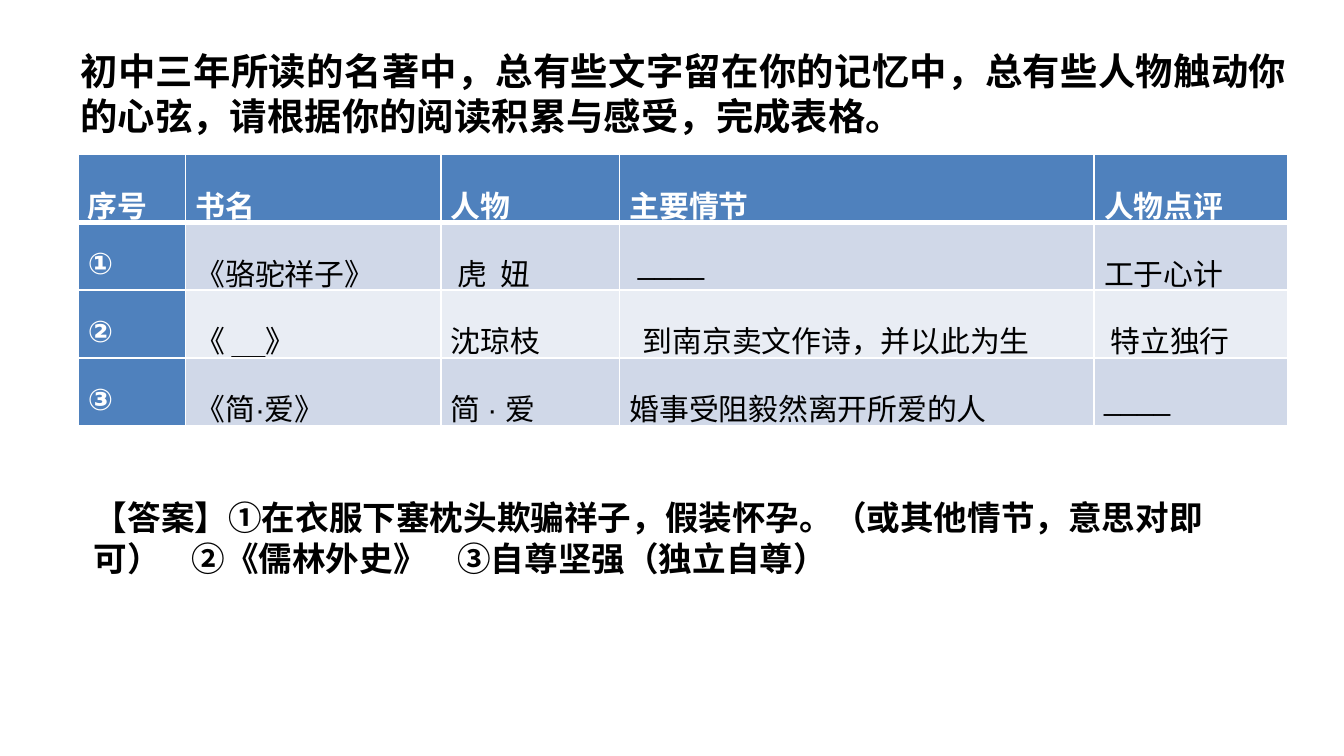
from lxml import etree
from pptx import Presentation
from pptx import util as u
from pptx.dml.color import RGBColor
from pptx.enum import text
from pptx.oxml import ns

HUES = {"ink": "000000", "white": "FFFFFF", "head": "4F81BD",
        "odd": "D0D8E8", "even": "E9EDF4"}
TITLE = "初中三年所读的名著中，总有些文字留在你的记忆中，总有些人物触动你的心弦，请根据你的阅读积累与感受，完成表格。"
KEY = "【答案】①在衣服下塞枕头欺骗祥子，假装怀孕。（或其他情节，意思对即可）    ②《儒林外史》    ③自尊坚强（独立自尊）"
COLS = [0.8, 1.9, 1.33, 3.53, 1.44]
ROWS = [
    ["序号", "书名", "人物", "主要情节", "人物点评"],
    ["①", "《骆驼祥子》", " 虎  妞", " ____", "工于心计"],
    ["②", "《 __》", "沈琼枝", "  到南京卖文作诗，并以此为生", " 特立独行"],
    ["③", "《简·爱》", "简 · 爱", "婚事受阻毅然离开所爱的人", "____"],
]


class Deck:
    """Holds the style and the current slide, and draws each kind of element."""

    def __init__(self, wide):
        self.prs = Presentation()
        self.prs.slide_width = u.Inches(wide)
        self.prs.slide_height = u.Inches(wide * 9 / 16)
        self.slide = self.prs.slides.add_slide(self.prs.slide_layouts[6])

    def hue(self, name):
        return RGBColor.from_string(HUES[name])

    def run(self, para, words, size, hue="ink", bold=True, face="Arial"):
        run = para.add_run()
        run.text = words
        font = run.font
        font.name, font.size, font.bold = face, u.Pt(size), bold
        font.color.rgb = self.hue(hue)

    def box(self, at, words, size, face="Arial"):
        frame = self.slide.shapes.add_textbox(*map(u.Inches, at)).text_frame
        frame.word_wrap = True
        para = frame.paragraphs[0]
        self.run(para, words, size, face=face)
        return frame, para

    def edge(self, cell, side, width):
        line = etree.SubElement(cell._tc.get_or_add_tcPr(), ns.qn(f"a:ln{side}"),
                                w=str(u.Pt(width)))
        fill = etree.SubElement(line, ns.qn("a:solidFill"))
        etree.SubElement(fill, ns.qn("a:srgbClr"), val=HUES["white"])

    def cell(self, cell, words, row, col):
        head = row == 0 or col == 0
        for side in "LRTB":
            thick = (row, side) in ((0, "B"), (1, "T"))
            self.edge(cell, side, 3 if thick else 1)
        cell.fill.solid()
        cell.fill.fore_color.rgb = self.hue(
            "head" if head else "odd" if row % 2 else "even")
        cell.margin_left = cell.margin_right = u.Pt(5.4)
        cell.margin_top = cell.margin_bottom = u.Inches(0.05)
        cell.vertical_anchor = text.MSO_ANCHOR.MIDDLE
        para = cell.text_frame.paragraphs[0]
        para.line_spacing = 1.5
        self.run(para, words, 16, "white" if head else "ink", head)

    def table(self, at, cols, rows):
        table = self.slide.shapes.add_table(
            len(rows), len(cols), *map(u.Inches, at)).table
        table.first_col = True
        for col, wide in zip(table.columns, cols):
            col.width = u.Inches(wide)
        for r, row in enumerate(rows):
            for c, words in enumerate(row):
                self.cell(table.cell(r, c), words, r, c)


def main():
    deck = Deck(10)
    _, para = deck.box((0.5, 0.31, 9.17, 3.55), TITLE, 20, "Calibri")
    para.alignment = text.PP_ALIGN.JUSTIFY
    para.space_before = u.Pt(4)
    frame, _ = deck.box((0.6, 3.65, 8.75, 0.71), KEY, 18)
    frame.auto_size = text.MSO_AUTO_SIZE.SHAPE_TO_FIT_TEXT
    deck.table((0.58, 1.15, 9, 2.02), COLS, ROWS)
    deck.prs.save("out.pptx")


if __name__ == "__main__":
    main()
